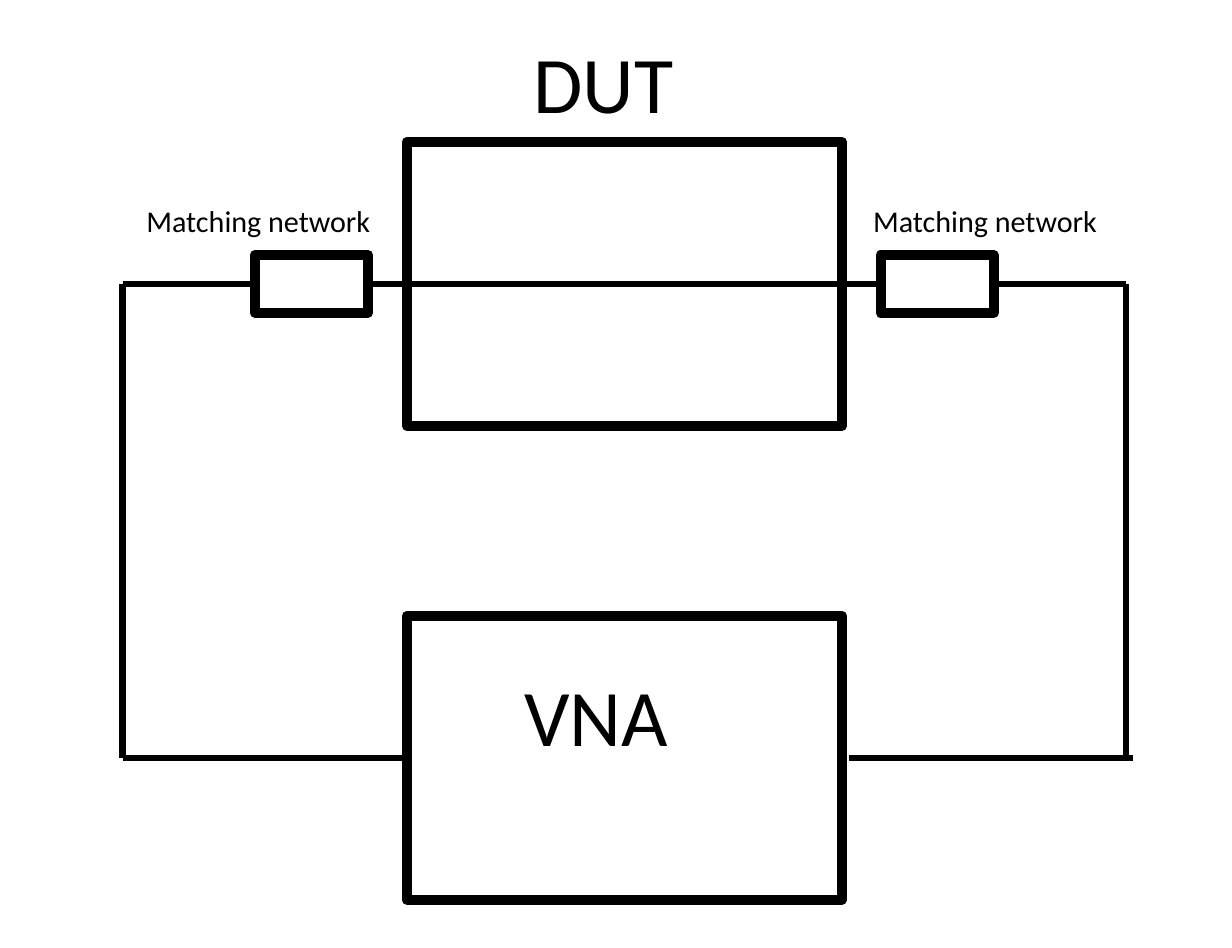
import pptx
import pptx.util
import pptx.dml.color
import pptx.enum.shapes
import pptx.enum.text
import pptx.oxml.ns
import lxml.etree

Inches = pptx.util.Inches
Pt = pptx.util.Pt
BLACK = pptx.dml.color.RGBColor(0, 0, 0)

# Heights of the signal path and the return path
TOP, BASE = 1.18, 3.15
# Outer wires
LEFT, RIGHT = 0.51, 4.68


def add_box(slide, left, mid, width, height):
    """Outlined box centred on the height of a wire."""
    box = slide.shapes.add_shape(
        pptx.enum.shapes.MSO_SHAPE.RECTANGLE,
        Inches(left), Inches(mid - height / 2), Inches(width), Inches(height))
    box.shadow.inherit = False
    box.fill.background()
    box.line.color.rgb = BLACK
    box.line.width = Pt(3)


def add_wire(slide, x1, y1, x2, y2):
    wire = slide.shapes.add_connector(
        pptx.enum.shapes.MSO_CONNECTOR.STRAIGHT,
        Inches(x1), Inches(y1), Inches(x2), Inches(y2))
    wire.line.color.rgb = BLACK
    wire.line.width = Pt(2)
    props = wire._element.spPr
    lxml.etree.SubElement(props, pptx.oxml.ns.qn("a:effectLst"))


def add_label(slide, text, left, top, width, height, size, wrap):
    label = slide.shapes.add_textbox(
        Inches(left), Inches(top), Inches(width), Inches(height))
    frame = label.text_frame
    frame.word_wrap = wrap
    frame.auto_size = pptx.enum.text.MSO_AUTO_SIZE.SHAPE_TO_FIT_TEXT
    run = frame.paragraphs[0].add_run()
    run.text = text
    run.font.name = "Calibri"
    run.font.size = Pt(size)
    run.font.color.rgb = BLACK


def main():
    deck = pptx.Presentation()
    deck.slide_width = Inches(5.12)
    deck.slide_height = Inches(3.94)
    slide = deck.slides.add_slide(deck.slide_layouts[6])

    # Device under test and analyzer
    for mid in (TOP, BASE):
        add_box(slide, 1.69, mid, 1.81, 1.18)
    add_label(slide, "VNA", 2.08, 2.72, 0.94, 0.5, 24, True)
    add_label(slide, "DUT", 2.12, 0.09, 0.94, 0.5, 24, True)

    # Matching networks
    for left, text_left in ((1.06, 0.51), (3.66, 3.53)):
        add_box(slide, left, TOP, 0.47, 0.24)
        add_label(slide, "Matching network",
                  text_left, 0.79, 1.15, 0.25, 9, False)

    # Horizontal wires
    for start, end, y in (
            (LEFT, 1.06, TOP), (1.54, 3.66, TOP), (4.13, RIGHT, TOP),
            (LEFT, 1.69, BASE), (3.53, 4.71, BASE)):
        add_wire(slide, start, y, end, y)

    # Vertical wires
    for x in (LEFT, RIGHT):
        add_wire(slide, x, TOP, x, BASE)

    deck.save("out.pptx")


if __name__ == "__main__":
    main()
